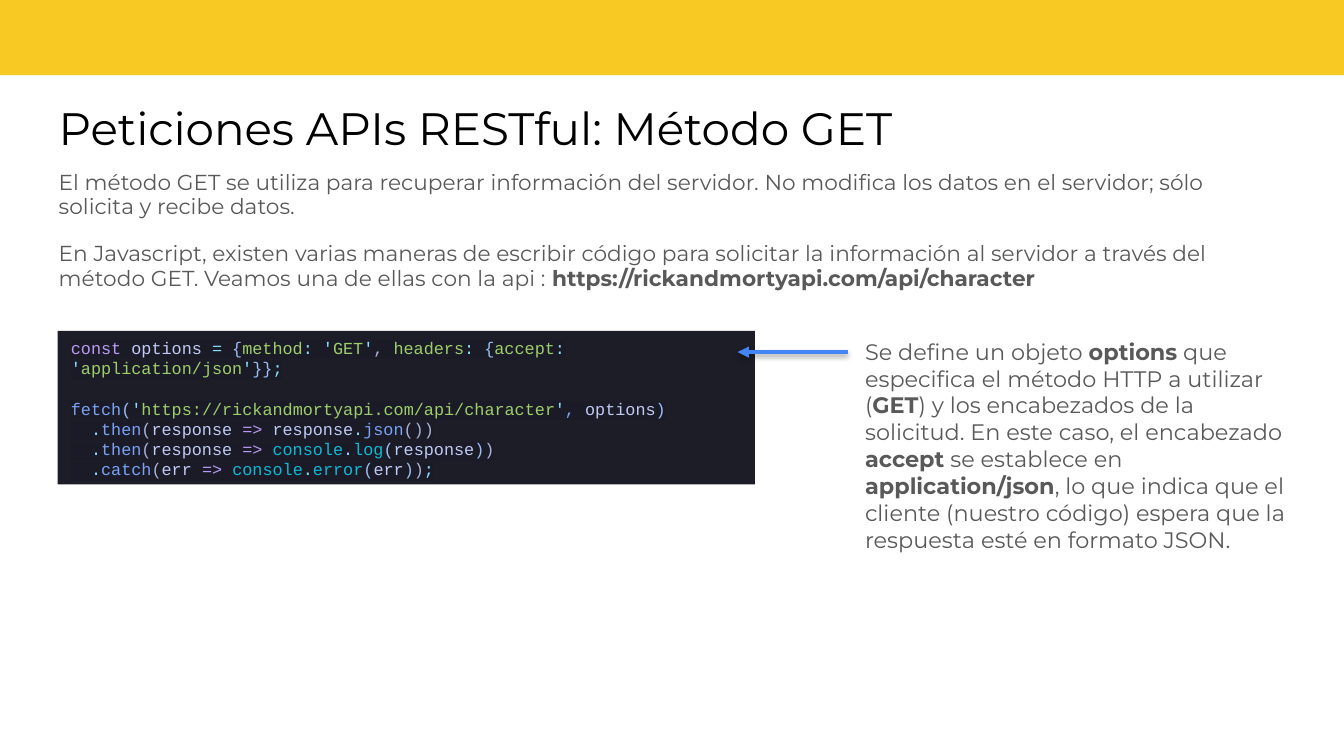
from lxml.etree import SubElement
from pptx import Presentation
from pptx.dml.color import RGBColor
from pptx.enum.shapes import MSO_CONNECTOR as Connector, MSO_SHAPE as Shape
from pptx.enum.text import MSO_ANCHOR as Anchor, MSO_AUTO_SIZE as AutoSize, PP_ALIGN as Align
from pptx.oxml import parse_xml
from pptx.oxml.ns import nsdecls, qn
from pptx.util import Cm, Pt

COLORS = {
    "band": "F8C823", "title": "000000", "text": "595959", "arrow": "4285F4",
    "panel": "1D1D28", "highlight": "1A1B26",
    "keyword": "BB9AF7", "plain": "A9B1D6", "name": "C0CAF5", "sign": "89DDFF",
    "bracket": "9ABDF5", "string": "9ECE6A", "call": "7AA2F7", "console": "0DB9D7",
}


def add_spans(para, text, size, color):
    """Write text in Montserrat; parts between ** are bold."""
    for i, part in enumerate(text.split("**")):
        if part:
            span = para.add_run()
            span.text = part
            for key, value in {"name": "Montserrat", "size": Pt(size), "bold": i % 2 == 1}.items():
                setattr(span.font, key, value)
            span.font.color.rgb = RGBColor.from_string(COLORS[color])


def chain(method, argument):
    """Tokens of a chained call, up to its arrow function."""
    return [("plain", "  "), ("sign", "."), ("call", method), ("plain", "("),
            ("name", argument), ("plain", " "), ("keyword", "=>"), ("plain", " ")]


deck = Presentation()
deck.slide_width, deck.slide_height = Cm(25.4), Cm(14.28)
page = deck.slides.add_slide(deck.slide_layouts[1])

# Top band
band = page.shapes.add_shape(Shape.RECTANGLE, 0, 0, deck.slide_width, Cm(1.42))
band.shadow.inherit = False
band.fill.solid()
band.fill.fore_color.rgb = RGBColor.from_string(COLORS["band"])
band.line.fill.background()

# Title, introduction and explanation
title, body = page.placeholders
note = page.shapes.add_textbox(Cm(16.1), Cm(6.25), Cm(8.64), Cm(4.37))
texts = [
    (title, (0.86, 1.65, 23.62, 1.6), 0.25, 24.3, "title", 1,
     ["Peticiones APIs RESTful: Método GET"]),
    (body, (0.86, 2.97, 23.01, 3.53), 0.25, 11.6, "text", 0.95,
     ["El método GET se utiliza para recuperar información del servidor. No modifica los datos "
      "en el servidor; sólo solicita y recibe datos.",
      "En Javascript, existen varias maneras de escribir código para solicitar la información al "
      "servidor a través del método GET. Veamos una de ellas con la api : "
      "**https://rickandmortyapi.com/api/character**"]),
    (note, (16.1, 6.25, 8.64, 4.37), 0.13, 12, "text", 1,
     ["Se define un objeto **options** que especifica el método HTTP a utilizar (**GET**) y los "
      "encabezados de la solicitud. En este caso, el encabezado **accept** se establece en "
      "**application/json**, lo que indica que el cliente (nuestro código) espera que la "
      "respuesta esté en formato JSON."]),
]
for box, place, inset, size, color, spacing, lines in texts:
    box.left, box.top, box.width, box.height = [Cm(value) for value in place]
    frame = box.text_frame
    for key, value in {"word_wrap": True, "auto_size": AutoSize.NONE, "vertical_anchor": Anchor.TOP,
                       "margin_left": Cm(0.25), "margin_right": Cm(0.25),
                       "margin_top": Cm(inset), "margin_bottom": Cm(inset)}.items():
        setattr(frame, key, value)
    for i, line in enumerate(lines):
        para = frame.add_paragraph() if i else frame.paragraphs[0]
        properties = para._p.get_or_add_pPr()
        properties.set("marL", "0")
        properties.set("indent", "0")
        SubElement(properties, qn("a:buNone"))
        for key, value in {"alignment": Align.LEFT, "line_spacing": spacing,
                           "space_before": Pt(12 if i else 0)}.items():
            setattr(para, key, value)
        add_spans(para, line, size, color)

# Code panel
code_lines = [
    [("keyword", "const"), ("name", " options "), ("sign", "= "), ("bracket", "{"),
     ("string", "method"), ("sign", ": '"), ("string", "GET"), ("sign", "'"), ("plain", ", "),
     ("string", "headers"), ("sign", ": "), ("bracket", "{"), ("string", "accept"),
     ("sign", ": '"), ("string", "application/json"), ("sign", "'"), ("bracket", "}}"),
     ("sign", ";")],
    [("call", "fetch"), ("bracket", "("), ("sign", "'"),
     ("string", "https://rickandmortyapi.com/api/character"), ("sign", "'"), ("call", ", "),
     ("name", "options"), ("bracket", ")")],
    chain("then", "response") + [("name", "response"), ("sign", "."), ("call", "json"),
                                 ("plain", "())")],
    chain("then", "response") + [("console", "console"), ("sign", "."), ("console", "log"),
                                 ("bracket", "("), ("name", "response"), ("bracket", ")"),
                                 ("plain", ")")],
    chain("catch", "err") + [("console", "console"), ("sign", "."), ("console", "error"),
                             ("bracket", "("), ("name", "err"), ("bracket", ")"),
                             ("plain", ")"), ("sign", ";")],
]
panel = page.shapes.add_shape(Shape.RECTANGLE, Cm(1.09), Cm(6.25), Cm(13.18), Cm(2.9))
panel.shadow.inherit = False
panel.fill.solid()
panel.fill.fore_color.rgb = RGBColor.from_string(COLORS["panel"])
panel.line.fill.background()
frame = panel.text_frame
frame.word_wrap = True
frame.vertical_anchor = Anchor.TOP
for i, tokens in enumerate(code_lines):
    para = frame.add_paragraph() if i else frame.paragraphs[0]
    para.alignment = Align.LEFT
    para.space_before = Pt(11 if i == 1 else 0)
    for color, text in tokens:
        span = para.add_run()
        span.text = text
        span.font.name = "Courier New"
        span.font.size = Pt(9)
        span.font.color.rgb = RGBColor.from_string(COLORS[color])
        span.font._element.find(qn("a:solidFill")).addnext(parse_xml(
            f'<a:highlight {nsdecls("a")}><a:srgbClr val="{COLORS["highlight"]}"/></a:highlight>'))

# Arrow from the explanation to the first line of code
arrow = page.shapes.add_connector(Connector.STRAIGHT, Cm(16.03), Cm(6.65), Cm(13.94), Cm(6.65))
arrow.line.color.rgb = RGBColor.from_string(COLORS["arrow"])
arrow.line.width = Pt(2)
SubElement(arrow.line._get_or_add_ln(), qn("a:tailEnd"), type="triangle")
arrow._element.spPr.append(parse_xml(
    f'<a:effectLst {nsdecls("a")}><a:outerShdw blurRad="{Pt(3.1)}" dist="{Pt(1.6)}" dir="5400000">'
    '<a:srgbClr val="000000"><a:alpha val="38000"/></a:srgbClr></a:outerShdw></a:effectLst>'))

deck.save("out.pptx")
